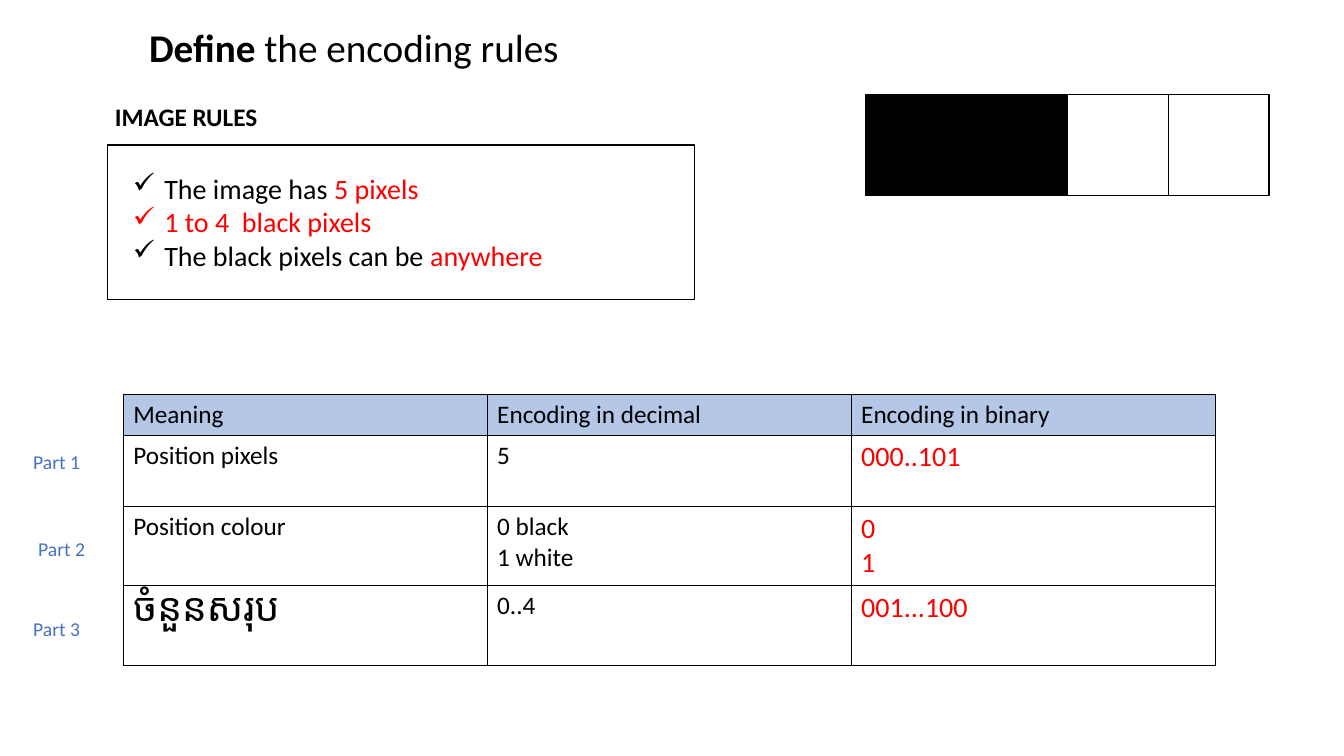
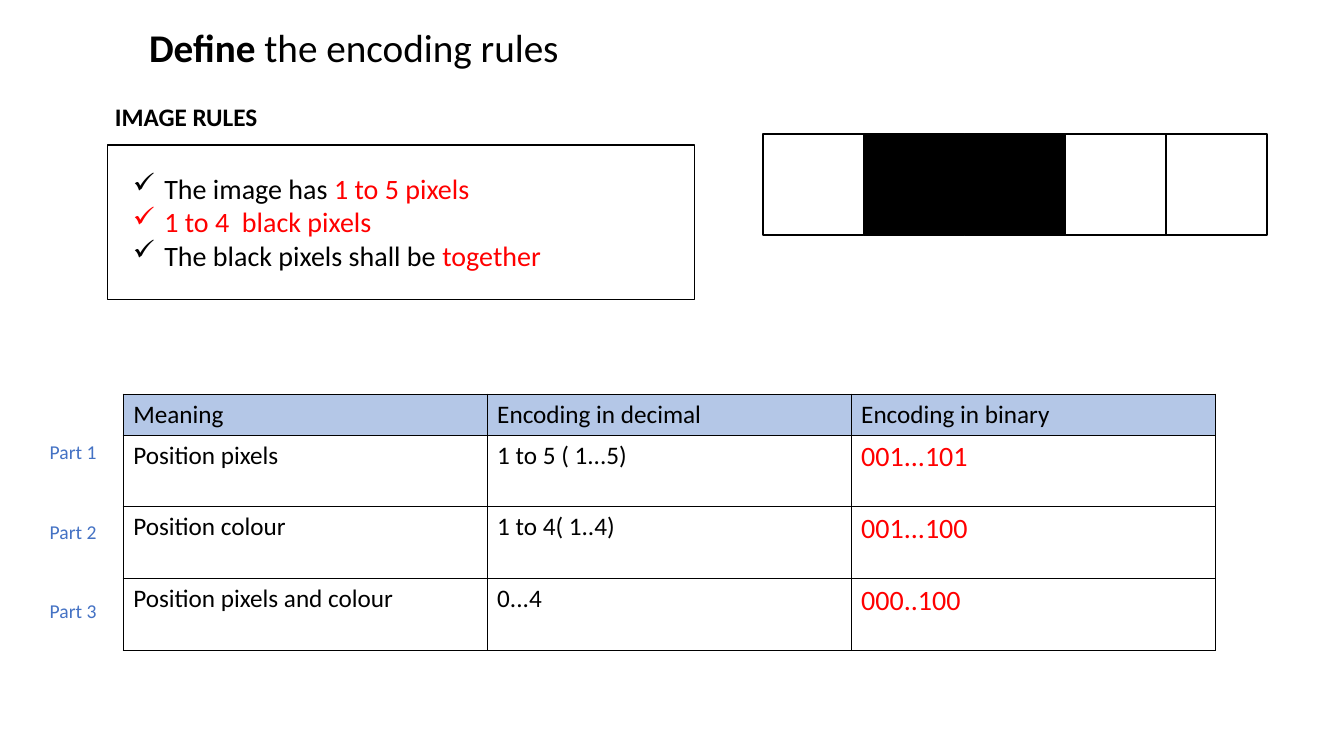
from lxml import etree
from pptx import Presentation
from pptx.dml.color import RGBColor
from pptx.enum.shapes import MSO_SHAPE
from pptx.enum.text import MSO_AUTO_SIZE
from pptx.oxml.ns import qn
from pptx.util import Pt

RECTANGLE = MSO_SHAPE.RECTANGLE
GROW = MSO_AUTO_SIZE.SHAPE_TO_FIT_TEXT
FONT = "Calibri"
COLORS = {
    "black": "000000",
    "white": "FFFFFF",
    "red": "FF0000",
    "blue": "4472C4",
    "header": "B4C7E7",
}
HEADINGS = ("Meaning", "Encoding in decimal", "Encoding in binary")
HEADER_HEIGHT = 29.3
COLUMN_WIDTH = 260
PIXEL_SIZE = 72

SLIDES = [
    {
        "rules": [
            [("The image has ", "black"), ("5 pixels", "red")],
            [("1 to 4  black pixels", "red")],
            [("The black pixels can be ", "black"), ("anywhere", "red")],
        ],
        "rules_width": 310.3,
        "pixels": ["black", "black", "white", "white"],
        "pixels_at": (618.5, 67.7),
        "rows": [
            ("Position pixels", "5", "000..101"),
            ("Position colour", "0 black\n1 white", "0\n1"),
            ("ចំនួនសរុប", "0..4", "001...100"),
        ],
        "row_heights": [51.2, 56, 57.2],
        "large_cells": {(3, 0)},
        "parts_at": [(16.6, 317.5), (20.2, 380.2), (16.6, 437)],
    },
    {
        "rules": [
            [("The image has ", "black"), ("1 to 5 pixels", "red")],
            [("1 to 4  black pixels", "red")],
            [("The black pixels shall be ", "black"), ("together", "red")],
        ],
        "rules_width": 313.2,
        "pixels": ["white", "black", "black", "white", "white"],
        "pixels_at": (545, 95.8),
        "rows": [
            ("Position pixels", "1 to 5 ( 1...5)", "001...101"),
            ("Position colour", "1 to 4( 1..4)", "001...100"),
            ("Position pixels and colour", "0...4", "000..100"),
        ],
        "row_heights": [51.2] * 3,
        "large_cells": set(),
        "parts_at": [(28.4, 311 + 56.5 * index) for index in range(3)],
    },
]


def rgb(name):
    return RGBColor.from_string(COLORS[name])


class Deck:
    """Hold the shared style and the current slide, and draw each element."""

    def __init__(self):
        self.presentation = Presentation()
        self.presentation.slide_width = Pt(960)
        self.presentation.slide_height = Pt(540)
        self.slide = None

    def new_slide(self):
        layout = self.presentation.slide_layouts[6]
        self.slide = self.presentation.slides.add_slide(layout)

    def style(self, paragraph, size, color="black", bold=False):
        paragraph.font.name = FONT
        paragraph.font.size = Pt(size)
        paragraph.font.color.rgb = rgb(color)
        paragraph.font.bold = bold

    def text_box(self, left, top, width, height, wrap=False):
        shape = self.slide.shapes.add_textbox(Pt(left), Pt(top), Pt(width), Pt(height))
        shape.text_frame.word_wrap = wrap
        shape.text_frame.auto_size = GROW
        return shape.text_frame

    def label(self, text, left, top, width, height, size, color="black", bold=False):
        paragraph = self.text_box(left, top, width, height).paragraphs[0]
        paragraph.text = text
        self.style(paragraph, size, color, bold)

    def title(self, strong, rest):
        paragraph = self.text_box(99.4, 13, 324, 41, wrap=True).paragraphs[0]
        self.style(paragraph, 28)
        for text, bold in ((strong, True), (rest, False)):
            run = paragraph.add_run()
            run.text = text
            run.font.bold = bold

    def rules(self, rules, width):
        frame = self.text_box(87.8, 118.8, width, 80)
        for index, parts in enumerate(rules):
            paragraph = frame.add_paragraph() if index else frame.paragraphs[0]
            self.style(paragraph, 20, parts[0][1])
            for text, color in parts:
                run = paragraph.add_run()
                run.text = text
                run.font.color.rgb = rgb(color)
            properties = paragraph._p.get_or_add_pPr()
            properties.set("marL", str(Pt(22.5)))
            properties.set("indent", str(-Pt(22.5)))
            bullet = etree.Element(qn("a:buChar"), char="✓")
            properties.insert(0, bullet)

    def rectangle(self, left, top, width, height, fill=None):
        shape = self.slide.shapes.add_shape(
            RECTANGLE, Pt(left), Pt(top), Pt(width), Pt(height)
        )
        shape.shadow.inherit = False
        shape.line.color.rgb = rgb("black")
        shape.line.width = Pt(1)
        if fill:
            shape.fill.solid()
            shape.fill.fore_color.rgb = rgb(fill)
        else:
            shape.fill.background()

    def pixels(self, colors, left, top):
        for index, color in enumerate(colors):
            self.rectangle(left + index * PIXEL_SIZE, top, PIXEL_SIZE, PIXEL_SIZE, color)

    def borders(self, cell):
        properties = cell._tc.get_or_add_tcPr()
        for index, side in enumerate(("a:lnL", "a:lnR", "a:lnT", "a:lnB")):
            line = etree.Element(qn(side), w=str(Pt(1)))
            fill = etree.SubElement(line, qn("a:solidFill"))
            etree.SubElement(fill, qn("a:srgbClr"), val=COLORS["black"])
            properties.insert(index, line)

    def cell(self, cell, text, size, color, header):
        cell.text = text
        for paragraph in cell.text_frame.paragraphs:
            self.style(paragraph, size, color)
        if header:
            cell.fill.solid()
            cell.fill.fore_color.rgb = rgb("header")
        else:
            cell.fill.background()
        self.borders(cell)

    def table(self, rows, row_heights, large_cells):
        heights = [HEADER_HEIGHT, *row_heights]
        table = self.slide.shapes.add_table(
            len(heights), len(HEADINGS), Pt(88), Pt(281.5),
            Pt(COLUMN_WIDTH * len(HEADINGS)), Pt(sum(heights)),
        ).table
        table.first_row = False
        table.horz_banding = False
        for column in table.columns:
            column.width = Pt(COLUMN_WIDTH)
        for row_index, texts in enumerate([HEADINGS, *rows]):
            table.rows[row_index].height = Pt(heights[row_index])
            header = row_index == 0
            for column_index, text in enumerate(texts):
                binary = column_index == 2 and not header
                size, color = (20, "red") if binary else (18, "black")
                if (row_index, column_index) in large_cells:
                    size = 28
                self.cell(table.cell(row_index, column_index), text, size, color, header)


def main():
    deck = Deck()
    for content in SLIDES:
        deck.new_slide()
        deck.table(content["rows"], content["row_heights"], content["large_cells"])
        for number, (left, top) in enumerate(content["parts_at"], 1):
            deck.label(f"Part {number}", left, top, 48.2, 24.5, 14, "blue")
        deck.title("Define", " the encoding rules")
        deck.rules(content["rules"], content["rules_width"])
        deck.label("IMAGE RULES", 75, 69.1, 117.4, 29, 18, bold=True)
        deck.rectangle(77, 103.7, 419, 110.2)
        deck.pixels(content["pixels"], *content["pixels_at"])
    deck.presentation.save("out.pptx")


if __name__ == "__main__":
    main()
